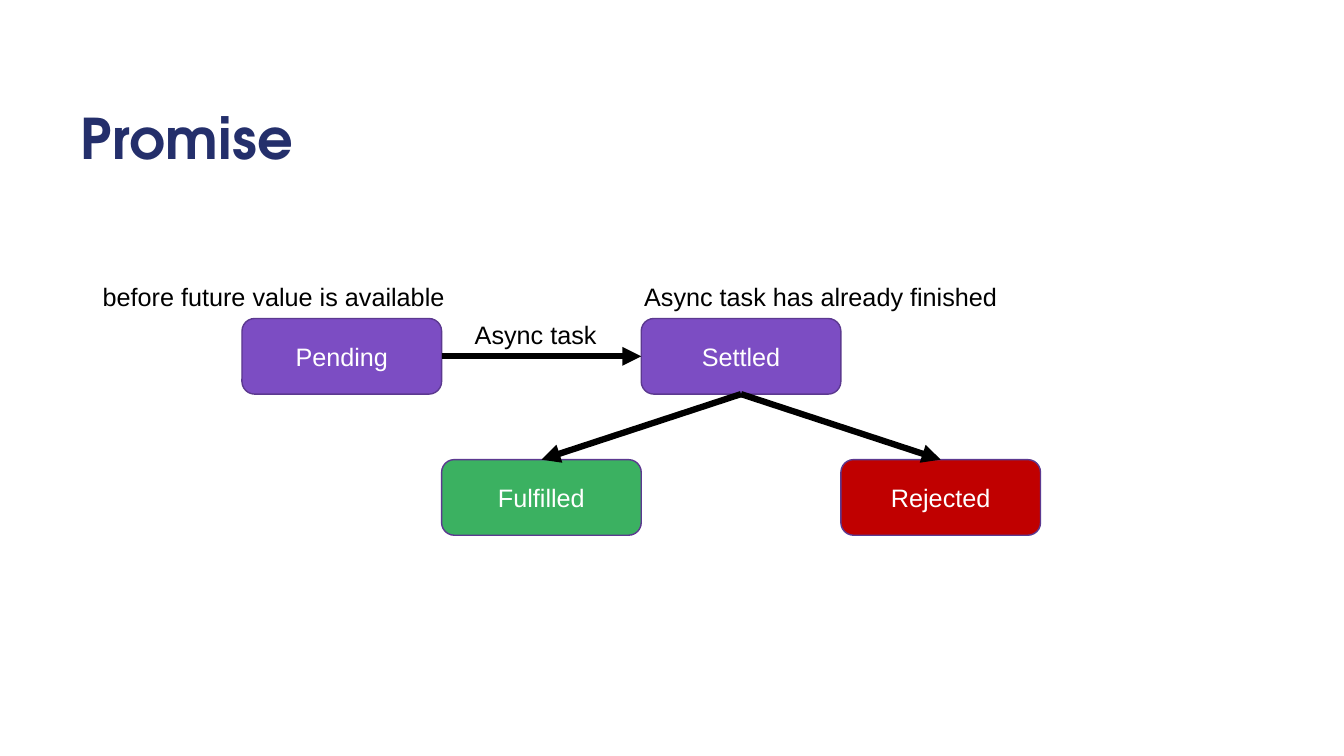
"""Build a slide that shows the states of a promise as a small flow chart."""
from lxml import etree
from pptx import Presentation
from pptx import util as u
from pptx.dml.color import RGBColor
from pptx.enum import shapes, text
from pptx.oxml import ns

WIDE, HIGH = 1.98, 0.75
LEFT, TOP, STEP = 2.4, 3.16, 1.4
BLACK, WHITE, NAVY = "000000", "FFFFFF", "242F6B"
PURPLE, GREEN, RED, EDGE = "7C4DC3", "3BB161", "C00000", "5C3990"


def color(code):
    return RGBColor.from_string(code)


def write(shape, words, code, size=18, face="Arial"):
    frame = shape.text_frame
    frame.word_wrap = True
    run = frame.paragraphs[0].add_run()
    run.text = words
    run.font.size = u.Pt(size)
    run.font.name = face
    run.font.color.rgb = color(code)
    return run


deck = Presentation()
deck.slide_width, deck.slide_height = u.Inches(13.33), u.Inches(7.5)
slide = deck.slides.add_slide(deck.slide_layouts[6])

title = slide.shapes.add_textbox(*map(u.Inches, (0.7, 0.98, 11.69, 1.5)))
run = write(title, "Promise", NAVY, 40, "TeX Gyre Adventor")
run.font.bold = True
run.font._element.set("spc", "30")

states = [
    ("Pending", 0, 0, PURPLE),
    ("Settled", 2, 0, PURPLE),
    ("Rejected", 3, 1, RED),
    ("Fulfilled", 1, 1, GREEN),
]
boxes = {}
for name, col, row, fill in states:
    place = LEFT + col * WIDE, TOP + row * STEP, WIDE, HIGH
    box = slide.shapes.add_shape(
        shapes.MSO_SHAPE.ROUNDED_RECTANGLE, *map(u.Inches, place))
    box.shadow.inherit = False
    box.fill.solid()
    box.fill.fore_color.rgb = color(fill)
    box.line.color.rgb = color(EDGE)
    box.line.width = u.Pt(1)
    box.text_frame.vertical_anchor = text.MSO_ANCHOR.MIDDLE
    write(box, name, WHITE)
    box.text_frame.paragraphs[0].alignment = text.PP_ALIGN.CENTER
    boxes[name] = box

UP, WEST, DOWN, EAST = range(4)
links = [
    ("Pending", EAST, "Settled", WEST),
    ("Settled", DOWN, "Fulfilled", UP),
    ("Settled", DOWN, "Rejected", UP),
]
for start, out, end, into in links:
    link = slide.shapes.add_connector(shapes.MSO_CONNECTOR.STRAIGHT, 0, 0, 0, 0)
    link.begin_connect(boxes[start], out)
    link.end_connect(boxes[end], into)
    link.line.color.rgb = color(BLACK)
    link.line.width = u.Pt(4.5)
    etree.SubElement(link.line._get_or_add_ln(), ns.qn("a:tailEnd"), type="triangle")
    etree.SubElement(link._element.spPr, ns.qn("a:effectLst"))

notes = [
    ("Async task has already finished", 6.29, 2.74, 4.02),
    ("Async task", 4.61, 3.12, 1.52),
    ("before future value is available", 0.92, 2.74, 3.69),
]
for words, left, top, width in notes:
    note = slide.shapes.add_textbox(*map(u.Inches, (left, top, width, 0.4)))
    write(note, words, BLACK)

deck.save("out.pptx")
